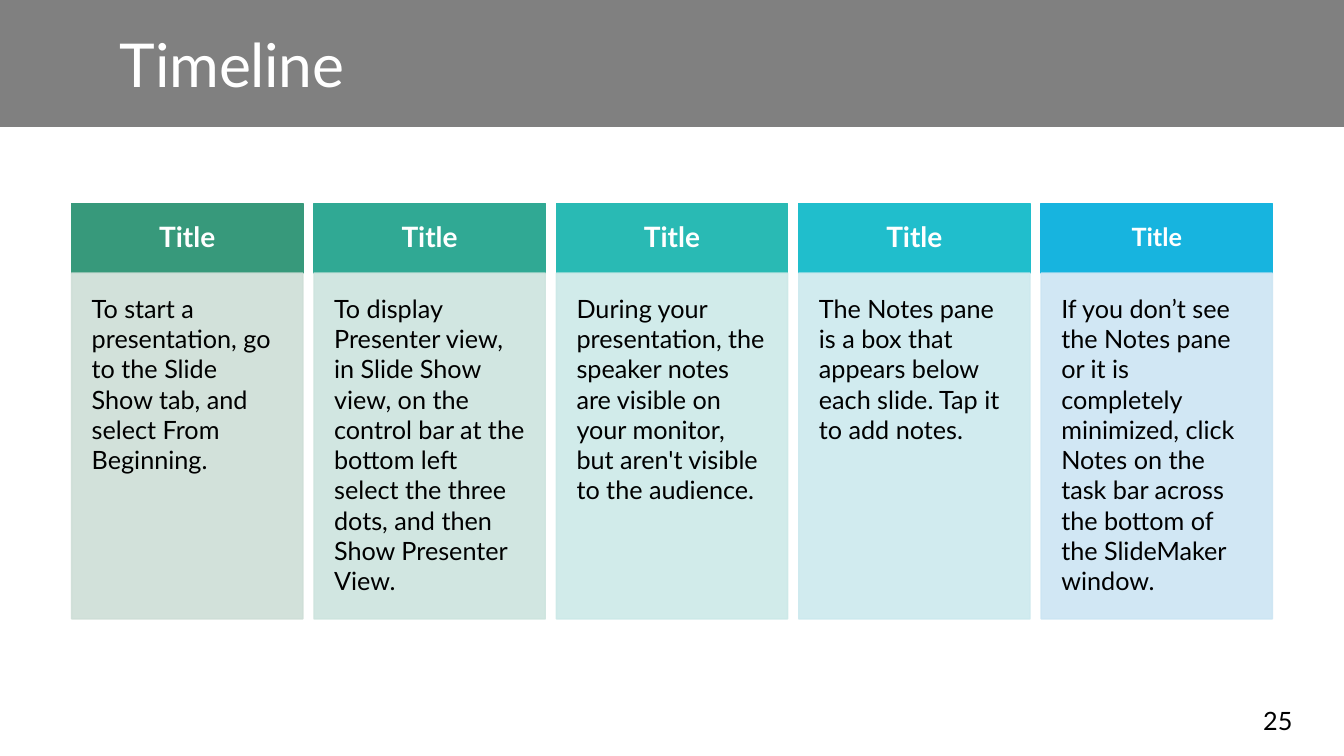
from lxml import etree
from pptx import Presentation
from pptx.dml.color import RGBColor
from pptx.enum import shapes, text
from pptx.oxml.ns import qn
from pptx.util import Inches, Pt

FONT = "Lato"
WHITE = RGBColor(0xFF, 0xFF, 0xFF)
BLACK = RGBColor(0x00, 0x00, 0x00)
GRAY = RGBColor(0x80, 0x80, 0x80)

# Header colour, body colour, title size, body text
STEPS = [
    (RGBColor(0x37, 0x99, 0x7B), RGBColor(0xCE, 0xDE, 0xD7), 20,
     "To start a presentation, go to the Slide Show tab, and select From Beginning."),
    (RGBColor(0x30, 0xA9, 0x94), RGBColor(0xCD, 0xE4, 0xDE), 20,
     "To display Presenter view, in Slide Show view, on the control bar at the "
     "bottom left select the three dots, and then Show Presenter View."),
    (RGBColor(0x29, 0xBA, 0xB4), RGBColor(0xCC, 0xE9, 0xE8), 20,
     "During your presentation, the speaker notes are visible on your monitor, "
     "but aren't visible to the audience."),
    (RGBColor(0x20, 0xBE, 0xCC), RGBColor(0xCC, 0xE9, 0xEE), 20,
     "The Notes pane is a box that appears below each slide. Tap it to add notes."),
    (RGBColor(0x17, 0xB4, 0xDF), RGBColor(0xCC, 0xE5, 0xF3), 18,
     "If you don’t see the Notes pane or it is completely minimized, click Notes "
     "on the task bar across the bottom of the SlideMaker window."),
]


def add_rect(s, x, y, w, h, color, opacity=100):
    sp = s.shapes.add_shape(shapes.MSO_SHAPE.RECTANGLE,
                            Inches(x), Inches(y), Inches(w), Inches(h))
    sp.shadow.inherit = False
    sp.fill.solid()
    sp.fill.fore_color.rgb = color
    sp.line.color.rgb = color
    sp.line.width = Pt(1)
    if opacity < 100:
        for clr in sp._element.spPr.iter(qn("a:srgbClr")):
            etree.SubElement(clr, qn("a:alpha")).set("val", str(opacity * 1000))
    return sp


def set_text(sp, words, size, color, align=text.PP_ALIGN.LEFT,
             anchor=text.MSO_ANCHOR.TOP, inset=None, bold=False):
    tf = sp.text_frame
    tf.word_wrap = True
    tf.auto_size = text.MSO_AUTO_SIZE.NONE
    tf.vertical_anchor = anchor
    if inset is not None:
        tf.margin_left = tf.margin_right = Inches(inset)
        tf.margin_top = tf.margin_bottom = Inches(inset)
    tf.text = words
    p = tf.paragraphs[0]
    p.alignment = align
    p.font.name, p.font.size, p.font.bold = FONT, Pt(size), bold
    p.font.color.rgb = color
    return p


def add_title_band(s, x, y, w, h):
    band = add_rect(s, x, y, w, h, GRAY)
    band.line.fill.background()
    s.shapes._spTree.insert(2, band._element)  # behind the title
    title = s.shapes.title
    title.left, title.top = Inches(x + 1.09), Inches(y + 0.21)
    title.width, title.height = Inches(10.96), Inches(0.83)
    p = set_text(title, "Timeline", 43.2, WHITE, anchor=text.MSO_ANCHOR.MIDDLE)
    p.runs[0]._r.get_or_add_rPr().set("spc", "-20")


def add_timeline(s, x, y, w, h, gap=0.11, head_h=0.69):
    col_w = (w - gap * (len(STEPS) - 1)) / len(STEPS)
    for i, (head_color, body_color, size, words) in enumerate(STEPS):
        left = x + i * (col_w + gap)
        head = add_rect(s, left, y, col_w, head_h, head_color)
        set_text(head, "Title", size, WHITE, text.PP_ALIGN.CENTER,
                 text.MSO_ANCHOR.MIDDLE, 0.18, True).line_spacing = 0.9
        body = add_rect(s, left, y + head_h, col_w, h - head_h, body_color, 90)
        set_text(body, words, 18, BLACK, inset=0.2)


def add_page_number(s, x, y, w, h):
    box = s.shapes.add_textbox(Inches(x), Inches(y), Inches(w), Inches(h))
    set_text(box, "25", 18, BLACK)


def main():
    prs = Presentation()
    prs.slide_width, prs.slide_height = Inches(13.33), Inches(7.5)
    s = prs.slides.add_slide(prs.slide_layouts[5])
    add_title_band(s, 0, 0, 13.33, 1.26)
    add_timeline(s, 0.71, 2.02, 11.91, 4.12)
    add_page_number(s, 12.43, 6.95, 0.69, 0.4)
    prs.save("out.pptx")


if __name__ == "__main__":
    main()
